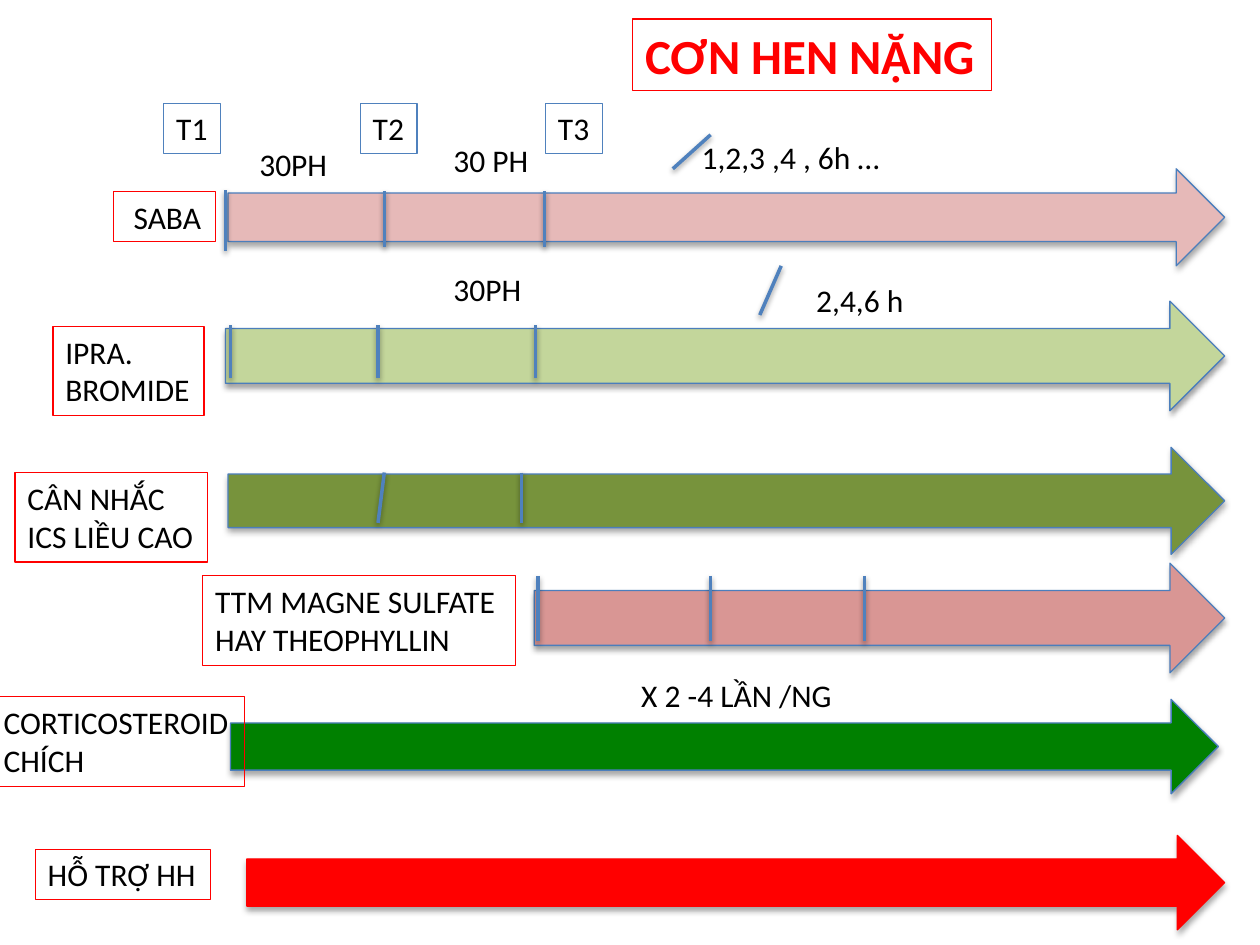
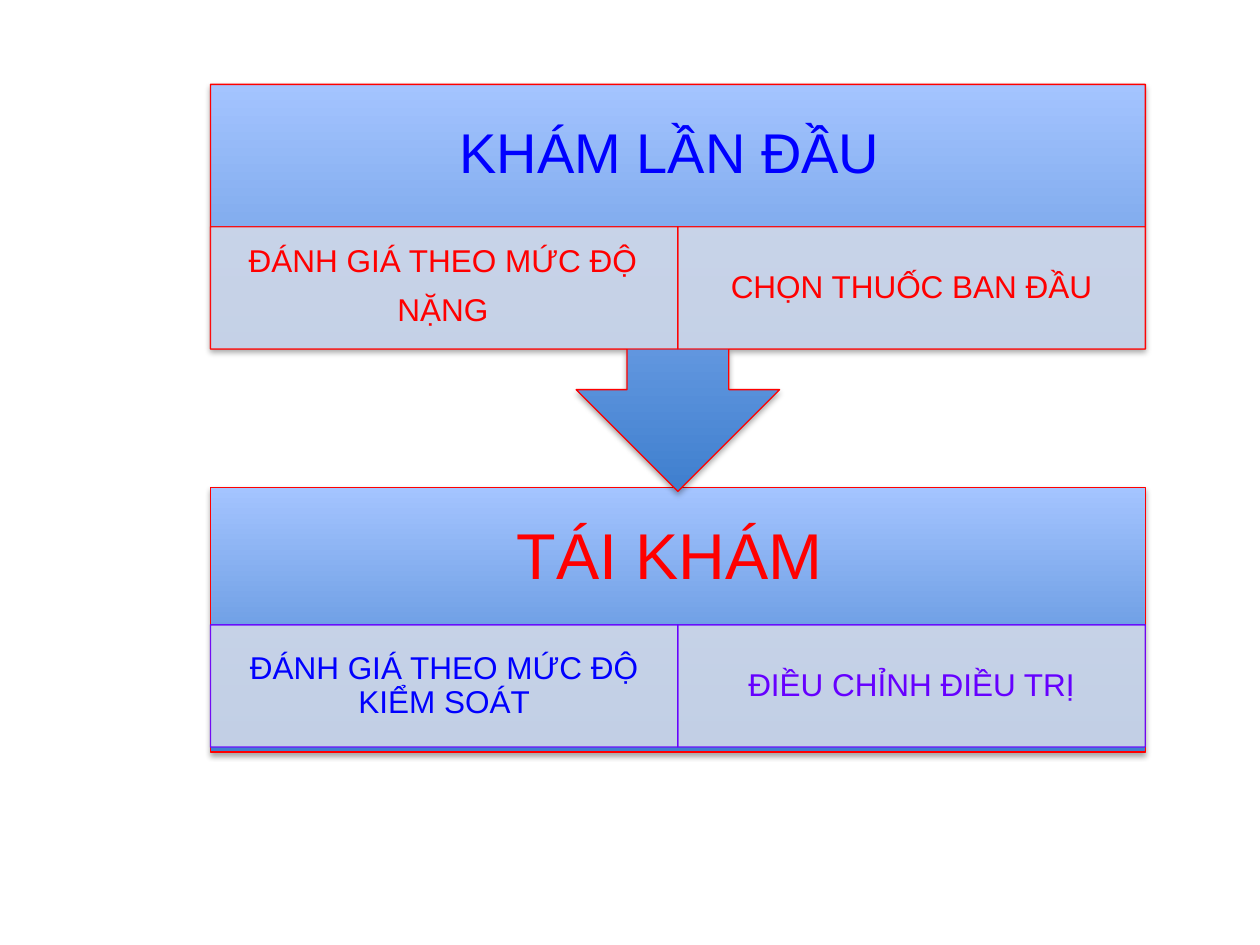
"""Build two slides on severe asthma treatment and follow-up visits."""
from dataclasses import dataclass
from typing import Optional

from lxml.etree import SubElement
from pptx import Presentation
from pptx.dml.color import RGBColor
from pptx.enum.shapes import MSO_CONNECTOR, MSO_SHAPE
from pptx.enum.text import MSO_ANCHOR, MSO_AUTO_SIZE, PP_ALIGN
from pptx.oxml.ns import qn
from pptx.util import Inches, Pt


@dataclass(frozen=True)
class Theme:
    """Colours, fonts and type sizes of the deck."""
    red: str = "FF0000"
    blue: str = "0000FF"
    violet: str = "6600FF"
    black: str = "000000"
    accent: str = "4F81BD"
    outline: str = "4B7EBC"
    gradient_dark: str = "3F7FCE"
    gradient_light: str = "A4C4FF"
    cell: str = "D0D8E8"
    label_font: str = "Calibri"
    visit_font: str = "Arial"
    body: int = 18
    title: int = 28
    first_visit: int = 32
    next_visit: int = 37
    thin: float = 0.75
    tick: float = 2


THEME = Theme()


@dataclass(frozen=True)
class Area:
    """Left, top, width and height in inches."""
    left: float
    top: float
    width: float
    height: float


@dataclass(frozen=True)
class TreatmentArrow:
    """A treatment time line."""
    area: Area
    fill: str
    outline: str = THEME.outline


@dataclass(frozen=True)
class Label:
    """A text label with an optional border."""
    text: str
    left: float
    top: float
    width: float
    border: Optional[str] = None
    left_inset: float = 0.1

    @property
    def area(self) -> Area:
        """Return the area, with its height set by the number of lines."""
        return Area(self.left, self.top, self.width, 0.71 if "\n" in self.text else 0.4)


@dataclass(frozen=True)
class Tick:
    """A mark from one point to another."""
    start_x: float
    start_y: float
    end_x: float
    end_y: float


@dataclass(frozen=True)
class VisitCell:
    """A step of a visit."""
    text: str
    color: str
    border: str
    line_spacing: float = 0.9
    right_inset: float = 0.14
    bottom_inset: float = 0.03


ARROWS = (
    TreatmentArrow(Area(1.81, 1.34, 7.91, 0.77), "E6B9B8"),
    TreatmentArrow(Area(1.79, 2.39, 7.93, 0.87), "C3D69B"),
    TreatmentArrow(Area(4.24, 4.47, 5.48, 0.87), "D99694"),
    TreatmentArrow(Area(1.81, 3.55, 7.91, 0.85), "77933C"),
    TreatmentArrow(Area(1.83, 5.55, 7.84, 0.75), "008000"),
    TreatmentArrow(Area(1.96, 6.63, 7.76, 0.75), THEME.red, THEME.red),
)

DOSE_TIMES = {
    (1.51, 1.99): (1.79,),
    (1.52, 1.96): (3.05, 4.32),
    (2.58, 3.0): (1.83, 3.0, 4.25),
    (3.75, 4.15): (4.14,),
    (4.57, 5.09): (4.27, 5.64, 6.86),
}

SLANTED_TICKS = (
    Tick(5.64, 1.07, 5.34, 1.34),
    Tick(6.2, 2.11, 6.03, 2.5),
    Tick(3.05, 3.75, 3.0, 4.15),
)

LABELS = (
    Label("T1", 1.3, 0.82, 0.45, THEME.accent),
    Label("T2", 2.86, 0.82, 0.45, THEME.accent),
    Label("T3", 4.33, 0.82, 0.45, THEME.accent),
    Label("30PH", 1.96, 1.1, 0.75),
    Label("30 PH", 3.5, 1.07, 0.8),
    Label("1,2,3 ,4 , 6h …", 5.47, 1.05, 1.67),
    Label("30PH", 3.5, 2.09, 0.75),
    Label("2,4,6 h", 6.38, 2.18, 0.9),
    Label("X 2 -4 LẦN /NG", 4.99, 5.32, 1.79),
    Label("SABA", 0.9, 1.52, 0.81, THEME.red, 0.16),
    Label("IPRA.\nBROMIDE", 0.42, 2.59, 1.2, THEME.red),
    Label("CÂN NHẮC\nICS LIỀU CAO", 0.12, 3.75, 1.53, THEME.red),
    Label("TTM MAGNE SULFATE\nHAY THEOPHYLLIN", 1.61, 4.57, 2.48, THEME.red),
    Label("CORTICOSTEROID\nCHÍCH", -0.07, 5.53, 2.01, THEME.red),
    Label("HỖ TRỢ HH", 0.28, 6.74, 1.39, THEME.red),
)

FIRST_VISIT_CELLS = (
    VisitCell("ĐÁNH GIÁ THEO MỨC ĐỘ NẶNG", THEME.red, THEME.red, 1.28, 0.16, 0.17),
    VisitCell("CHỌN THUỐC BAN ĐẦU", THEME.red, THEME.red),
)
NEXT_VISIT_CELLS = (
    VisitCell("ĐÁNH GIÁ THEO MỨC ĐỘ KIỂM SOÁT", THEME.blue, THEME.violet),
    VisitCell("ĐIỀU CHỈNH ĐIỀU TRỊ", THEME.violet, THEME.violet),
)


def bounds(area: Area) -> tuple:
    """Return an area as four lengths."""
    return tuple(Inches(n) for n in (area.left, area.top, area.width, area.height))


def place(shape, area: Area) -> None:
    """Move and size a shape."""
    shape.left, shape.top, shape.width, shape.height = bounds(area)


def set_line(shape, color: str, width: float = THEME.thin) -> None:
    """Give a shape a solid outline."""
    shape.line.color.rgb = RGBColor.from_string(color)
    shape.line.width = Pt(width)


def set_shadow(effects, distance: int, opacity: int) -> None:
    """Add a soft shadow below a shape to its effect list."""
    shadow = SubElement(effects, qn("a:outerShdw"), blurRad="40000",
                        dist=str(distance), dir="5400000", rotWithShape="0")
    color = SubElement(shadow, qn("a:srgbClr"), val=THEME.black)
    SubElement(color, qn("a:alpha"), val=str(opacity * 1000))


def shade(shape) -> None:
    """Give a preset shape the deck's shadow."""
    shape.shadow.inherit = False
    set_shadow(shape.element.spPr.find(qn("a:effectLst")), 23000, 35)


def write(shape, text: str, font: str, size: int, color: str, bold: bool = False,
          align: PP_ALIGN = PP_ALIGN.LEFT, spacing: float = 1.0) -> None:
    """Write and format the paragraphs of a shape."""
    shape.text_frame.text = text
    for paragraph in shape.text_frame.paragraphs:
        paragraph.alignment = align
        paragraph.line_spacing = spacing
        paragraph.font.name = font
        paragraph.font.size = Pt(size)
        paragraph.font.bold = bold
        paragraph.font.color.rgb = RGBColor.from_string(color)


def draw_arrow(slide, arrow: TreatmentArrow) -> None:
    """Draw a treatment time line."""
    shape = slide.shapes.add_shape(MSO_SHAPE.RIGHT_ARROW, *bounds(arrow.area))
    shape.fill.solid()
    shape.fill.fore_color.rgb = RGBColor.from_string(arrow.fill)
    set_line(shape, arrow.outline)
    shade(shape)


def draw_tick(slide, tick: Tick) -> None:
    """Draw a tick mark."""
    line = slide.shapes.add_connector(
        MSO_CONNECTOR.STRAIGHT, Inches(tick.start_x), Inches(tick.start_y),
        Inches(tick.end_x), Inches(tick.end_y))
    set_line(line, THEME.accent, THEME.tick)
    set_shadow(SubElement(line.element.spPr, qn("a:effectLst")), 20000, 38)


def draw_label(slide, label: Label) -> None:
    """Draw a text label."""
    box = slide.shapes.add_textbox(*bounds(label.area))
    write(box, label.text, THEME.label_font, THEME.body, THEME.black)
    frame = box.text_frame
    frame.word_wrap = False
    frame.auto_size = MSO_AUTO_SIZE.SHAPE_TO_FIT_TEXT
    frame.margin_left = Inches(label.left_inset)
    if label.border:
        set_line(box, label.border)


def draw_panel(slide, kind: MSO_SHAPE, area: Area) -> None:
    """Draw the gradient panel behind a visit."""
    panel = slide.shapes.add_shape(kind, *bounds(area))
    panel.fill.gradient()
    panel.fill.gradient_angle = 90
    colors = (THEME.gradient_dark, THEME.gradient_light)
    for stop, position, color in zip(panel.fill.gradient_stops, (0, 1), colors):
        stop.position = position
        stop.color.rgb = RGBColor.from_string(color)
    set_line(panel, THEME.red)
    shade(panel)


def fix_frame(box, left: float, top: float, right: float, bottom: float) -> None:
    """Keep a box at its size, with its text in the middle between the insets."""
    frame = box.text_frame
    frame.word_wrap = True
    frame.auto_size = MSO_AUTO_SIZE.NONE
    frame.vertical_anchor = MSO_ANCHOR.MIDDLE
    frame.margin_left, frame.margin_top = Inches(left), Inches(top)
    frame.margin_right, frame.margin_bottom = Inches(right), Inches(bottom)


def format_heading(box, text: str, size: int, color: str) -> None:
    """Format the heading of a visit."""
    write(box, text, THEME.visit_font, size, color, align=PP_ALIGN.CENTER, spacing=0.9)
    fix_frame(box, 0.25, 0.25, 0.38, 0.25)


def draw_cells(slide, cells: tuple, top: float) -> None:
    """Draw the steps of a visit side by side."""
    width = 3.71
    for column, cell in enumerate(cells):
        area = Area(1.67 + column * width, top, width, 0.97)
        box = slide.shapes.add_shape(MSO_SHAPE.RECTANGLE, *bounds(area))
        box.fill.solid()
        box.fill.fore_color.rgb = RGBColor.from_string(THEME.cell)
        set_line(box, cell.border)
        for color in box.element.spPr.iter(qn("a:srgbClr")):
            SubElement(color, qn("a:alpha"), val="90000")
        box.shadow.inherit = False
        write(box, cell.text, THEME.visit_font, THEME.body, cell.color,
              align=PP_ALIGN.CENTER, spacing=cell.line_spacing)
        fix_frame(box, 0.14, 0.03, cell.right_inset, cell.bottom_inset)


def build_treatment_slide(deck) -> None:
    """Build the time lines for a severe attack."""
    slide = deck.slides.add_slide(deck.slide_layouts[5])
    title = slide.shapes.title
    place(title, Area(5.02, 0.15, 2.85, 0.57))
    write(title, "CƠN HEN NẶNG", THEME.label_font, THEME.title, THEME.red, bold=True)
    fix_frame(title, 0.1, 0.05, 0, 0.05)
    set_line(title, THEME.red)
    for arrow in ARROWS:
        draw_arrow(slide, arrow)
    for (top, bottom), times in DOSE_TIMES.items():
        for x in times:
            draw_tick(slide, Tick(x, top, x, bottom))
    for tick in SLANTED_TICKS:
        draw_tick(slide, tick)
    for label in LABELS:
        draw_label(slide, label)


def build_visits_slide(deck) -> None:
    """Build the flow from the first visit to the next one."""
    slide = deck.slides.add_slide(deck.slide_layouts[5])
    draw_panel(slide, MSO_SHAPE.RECTANGLE, Area(1.67, 3.87, 7.42, 2.1))
    heading = slide.shapes.add_textbox(*bounds(Area(1.67, 3.87, 7.42, 1.13)))
    format_heading(heading, "TÁI KHÁM", THEME.next_visit, THEME.red)
    draw_cells(slide, NEXT_VISIT_CELLS, 4.96)
    draw_panel(slide, MSO_SHAPE.DOWN_ARROW_CALLOUT, Area(1.67, 0.67, 7.42, 3.23))
    title = slide.shapes.title
    place(title, Area(1.67, 0.67, 7.42, 1.13))
    format_heading(title, "KHÁM LẦN ĐẦU", THEME.first_visit, THEME.blue)
    title.element.getparent().append(title.element)
    draw_cells(slide, FIRST_VISIT_CELLS, 1.8)


def main() -> None:
    """Build and save the deck."""
    deck = Presentation()
    deck.slide_width, deck.slide_height = Inches(10), Inches(7.5)
    build_treatment_slide(deck)
    build_visits_slide(deck)
    deck.save("out.pptx")


if __name__ == "__main__":
    main()
